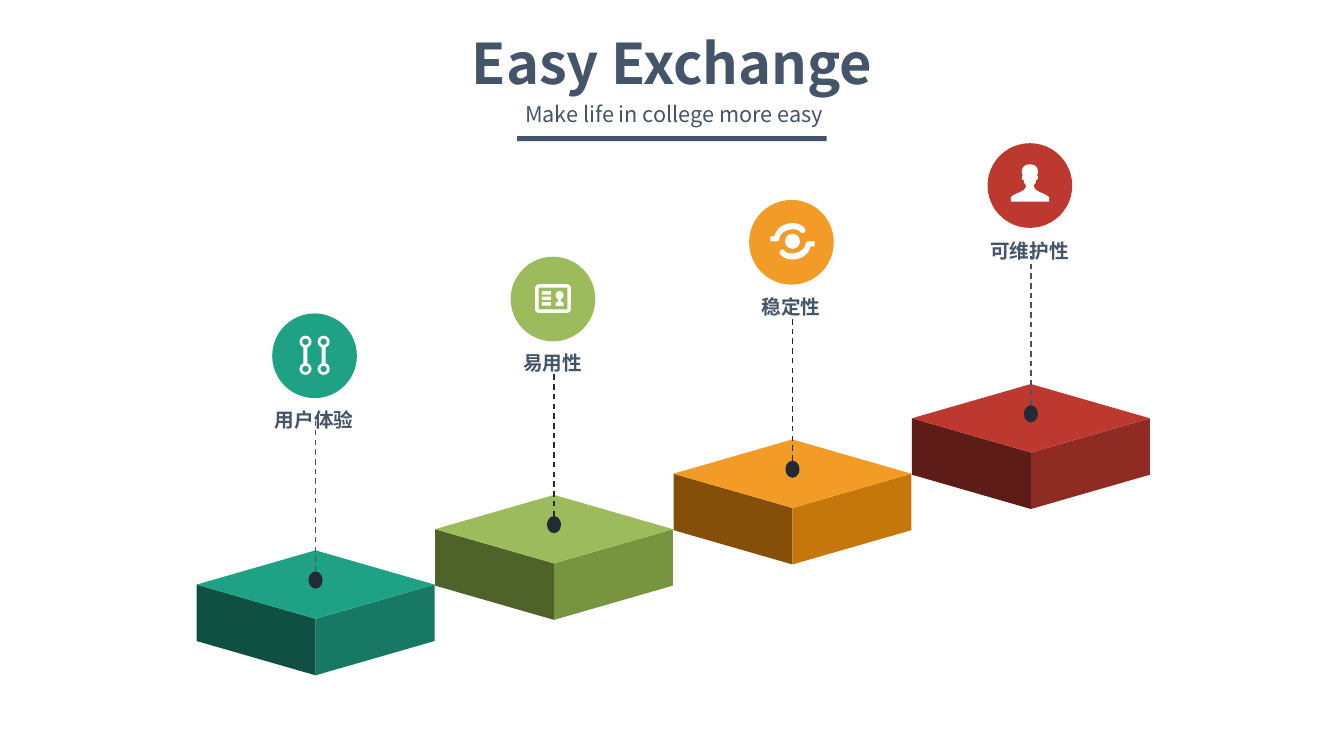
from lxml.etree import SubElement
from pptx import Presentation
from pptx.dml.color import RGBColor
from pptx.enum.dml import MSO_LINE
from pptx.enum.shapes import MSO_CONNECTOR, MSO_SHAPE
from pptx.enum.text import MSO_AUTO_SIZE, PP_ALIGN
from pptx.oxml.ns import qn
from pptx.util import Inches, Pt

FONT = "Noto Sans CJK SC"
SLATE = RGBColor(0x44, 0x54, 0x69)
DARK = RGBColor(0x22, 0x2A, 0x34)
WHITE = RGBColor(0xFF, 0xFF, 0xFF)
GREEN = [RGBColor.from_string(c) for c in ("1EA185", "0F5043", "177964")]
LIME = [RGBColor.from_string(c) for c in ("9BBB5C", "4F6229", "77943E")]
ORANGE = [RGBColor.from_string(c) for c in ("F29B26", "844F08", "C6770C")]
RED = [RGBColor.from_string(c) for c in ("BD392F", "5E1C18", "8E2B23")]

# Content: label, icon, (top, left, right) colours, line colour, line top
TITLE = "Easy Exchange"
SUBTITLE = "Make life in college more easy"
STEPS = [
    ("用户体验", "branches", GREEN, SLATE, 4.18),
    ("易用性", "card", LIME, DARK, 3.7),
    ("稳定性", "orbit", ORANGE, DARK, 3.13),
    ("可维护性", "person", RED, SLATE, 2.54),
]

# Icon outlines: two numbers make a line, six a cubic curve
PERSON_HALF = [
    (0, -.21), (.07, -.21, .08, -.16, .08, -.14), (.08, -.12, .07, -.1, .07, -.1),
    (.07, -.1, .08, -.1, .08, -.08), (.08, -.05, .06, -.06, .06, -.05),
    (.06, -.01, .04, -.02, .04, 0), (.04, .03, .06, .05, .11, .07),
    (.16, .09, .19, .11, .19, .12), (.19, .16),
]
CARD_PERSON_HALF = [
    (0, -.08), (.02, -.08, .04, -.06, .04, -.04), (.04, -.01, .01, 0, .01, .02),
    (.01, .03, .04, .03, .04, .04), (.04, .07),
]
ORBIT_ARM = [
    (-.13, -.03), (-.12, -.08, -.06, -.12, 0, -.12), (.03, -.12, .06, -.12, .08, -.09),
    (.09, -.08, .12, -.08, .12, -.09), (.13, -.1, .13, -.12, .12, -.13),
    (.09, -.17, .04, -.18, 0, -.18), (-.09, -.18, -.16, -.13, -.18, -.05),
    (-.22, -.05), (-.22, 0), (-.16, 0), (-.13, 0, -.13, -.02, -.13, -.03),
]

# Geometry in inches
FIRST_CENTRE, STEP_WIDTH = 3.13, 2.36
FIRST_TOP, STEP_RISE = 5.46, .55
HALF_WIDTH, HALF_DEPTH, THICKNESS = 1.18, .34, .56
FIRST_ICON, FIRST_LABEL, LABEL_RISE = 3.53, 3.95, .56
ICON_SIZE = .84

presentation = Presentation()
presentation.slide_width, presentation.slide_height = Inches(13.33), Inches(7.5)
slide = presentation.slides.add_slide(presentation.slide_layouts[6])


def paint(shape, colour):
    shape.shadow.inherit = False
    shape.fill.solid()
    shape.fill.fore_color.rgb = colour
    shape.line.fill.background()
    return shape


def add_preset(kind, left, top, width, height, colour):
    shape = slide.shapes.add_shape(
        kind, Inches(left), Inches(top), Inches(width), Inches(height))
    return paint(shape, colour)


def add_outline(points, colour):
    points = [(Inches(x), Inches(y)) for x, y in points]
    builder = slide.shapes.build_freeform(*points[0], scale=1.0)
    builder.add_line_segments(points[1:], close=True)
    return paint(builder.convert_to_shape(), colour)


def flatten(segments, pieces=8):
    points = []
    for segment in segments:
        if len(segment) == 2:
            points.append(segment)
            continue
        x0, y0 = points[-1]
        x1, y1, x2, y2, x3, y3 = segment
        for piece in range(1, pieces + 1):
            t = piece / pieces
            a, b, c, d = (1 - t) ** 3, 3 * t * (1 - t) ** 2, 3 * t * t * (1 - t), t ** 3
            points.append((a * x0 + b * x1 + c * x2 + d * x3,
                           a * y0 + b * y1 + c * y2 + d * y3))
    return points


def add_text(text, box, size, bold, insets, grow=True, spacing=None, before=None):
    shape = slide.shapes.add_textbox(*[Inches(value) for value in box])
    frame = shape.text_frame
    frame.word_wrap = True
    frame.auto_size = MSO_AUTO_SIZE.SHAPE_TO_FIT_TEXT if grow else MSO_AUTO_SIZE.NONE
    frame.margin_left = frame.margin_right = Inches(insets[0])
    frame.margin_top = frame.margin_bottom = Inches(insets[1])
    paragraph = frame.paragraphs[0]
    paragraph.alignment = PP_ALIGN.CENTER
    paragraph.line_spacing = spacing
    if before:
        paragraph.space_before = Pt(before)
    run = paragraph.add_run()
    run.text = text
    run.font.size, run.font.bold, run.font.name = Pt(size), bold, FONT
    run.font.color.rgb = SLATE
    SubElement(run.font._element, qn("a:ea")).set("typeface", FONT)


def add_person(half, x, y):
    right = flatten(half)
    left = [(-px, py) for px, py in reversed(right[1:])]
    add_outline([(x + px, y + py) for px, py in right + left], WHITE)


def add_block(x, top, colours):
    side, front = top + HALF_DEPTH, top + 2 * HALF_DEPTH
    for edge, colour in ((x - HALF_WIDTH, colours[1]), (x + HALF_WIDTH, colours[2])):
        add_outline([(x, front + THICKNESS), (edge, side + THICKNESS),
                     (edge, side), (x, front)], colour)
    add_outline([(x, top), (x + HALF_WIDTH, side), (x, front),
                 (x - HALF_WIDTH, side)], colours[0])


def draw_branches(x, y):
    for column in (x - .09, x + .09):
        add_preset(MSO_SHAPE.RECTANGLE, column - .02, y - .09, .04, .17, WHITE)
        for row in (y - .14, y + .13):
            ring = add_preset(MSO_SHAPE.DONUT, column - .06, row - .06, .12, .12, WHITE)
            ring.adjustments[0] = .23


def draw_card(x, y):
    frame = add_preset(MSO_SHAPE.ROUNDED_RECTANGLE, x - .16, y - .13, .32, .25, WHITE)
    frame.adjustments[0] = .08
    frame.fill.background()
    frame.line.color.rgb, frame.line.width = WHITE, Pt(2.5)
    for row in range(3):
        add_preset(MSO_SHAPE.RECTANGLE, x - .11, y - .08 + row * .055, .09, .035, WHITE)
    add_person(CARD_PERSON_HALF, x + .065, y)


def draw_orbit(x, y):
    x, y = x + .01, y - .01
    add_preset(MSO_SHAPE.OVAL, x - .075, y - .075, .15, .15, WHITE)
    for sign in (1, -1):
        add_outline([(x + sign * px, y + sign * py) for px, py in flatten(ORBIT_ARM)], WHITE)


def draw_person(x, y):
    add_person(PERSON_HALF, x, y)


ICONS = {"branches": draw_branches, "card": draw_card,
         "orbit": draw_orbit, "person": draw_person}

# Staircase of blocks, each with its icon, label and marker
for index, (label, icon, colours, line_colour, line_top) in enumerate(STEPS):
    x = FIRST_CENTRE + index * (STEP_WIDTH + .005)
    top = FIRST_TOP - index * STEP_RISE
    add_block(x, top, colours)

    icon_x, icon_y = x - .01, FIRST_ICON - index * .563
    add_preset(MSO_SHAPE.OVAL, icon_x - ICON_SIZE / 2, icon_y - ICON_SIZE / 2,
               ICON_SIZE, ICON_SIZE, colours[0])
    ICONS[icon](icon_x, icon_y)
    add_text(label, (icon_x - 1.2, FIRST_LABEL - index * LABEL_RISE, 2.39, .36),
             14, True, (.1, .05), spacing=1.2, before=8.5)

    dot = add_preset(MSO_SHAPE.OVAL, x - .07, top + .21, .14, .17, DARK)
    line = slide.shapes.add_connector(
        MSO_CONNECTOR.STRAIGHT, Inches(x), Inches(top + .21), Inches(x), Inches(line_top))
    line.begin_connect(dot, 0)
    line.line.color.rgb, line.line.width = line_colour, Pt(1)
    line.line.dash_style = MSO_LINE.DASH
    SubElement(line._element.spPr, qn("a:effectLst"))

# Heading
add_text(TITLE, (.94, .26, 11.45, .72), 40, True, (.05, .02))
add_preset(MSO_SHAPE.RECTANGLE, 5.13, 1.35, 3.07, .05, SLATE)
add_text(SUBTITLE, (1.29, .89, 10.79, .46), 15.5, False, (.12, .06),
         grow=False, spacing=1.2, before=3)

presentation.save("out.pptx")
